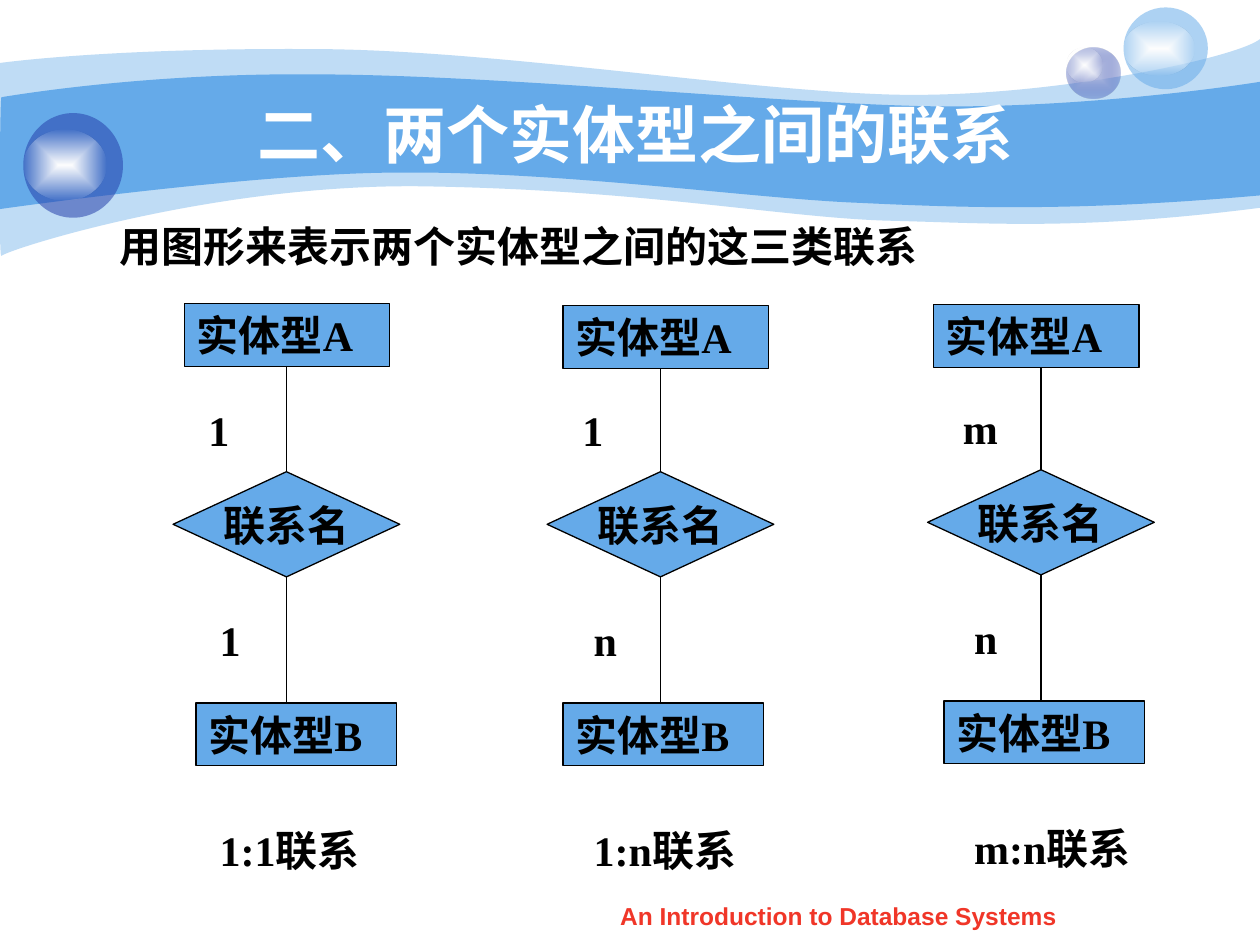
from lxml.etree import SubElement
from pptx import Presentation
from pptx.dml.color import RGBColor
from pptx.enum.shapes import MSO_CONNECTOR, MSO_SHAPE
from pptx.enum.text import MSO_ANCHOR, PP_ALIGN
from pptx.oxml import parse_xml
from pptx.oxml.ns import nsdecls, qn
from pptx.util import Cm, Pt

SKY = RGBColor(0x65, 0xAA, 0xE9)
NAVY = RGBColor(0x23, 0x3D, 0xA9)
LILAC = RGBColor(0xC6, 0xCC, 0xE8)
RED = RGBColor(0xF0, 0x36, 0x28)
WHITE = RGBColor(0xFF, 0xFF, 0xFF)
BLACK = RGBColor(0, 0, 0)

# Content
TITLE = "二、两个实体型之间的联系"
INTRO = "用图形来表示两个实体型之间的这三类联系"
FOOTER = "An Introduction to Database Systems"
ENTITY_A, ENTITY_B, RELATION = "实体型A", "实体型B", "联系名"
# Each diagram: upper label, lower label, caption, left of diamond, A and B, top of A, shift down
DIAGRAMS = [
    ("1", "1", "1:1联系", 3.49, 3.72, 3.95, 6.12, 0),
    ("1", "n", "1:n联系", 11.03, 11.35, 11.35, 6.16, 0),
    ("m", "n", "m:n联系", 18.7, 18.82, 19.03, 6.14, -0.04),
]

# Diagram measures in cm
DIAMOND_TOP, B_TOP = 9.51, 14.17
A_WIDTH, B_WIDTH, BOX_HEIGHT = 4.14, 4.04, 1.27
DIAMOND_WIDTH, DIAMOND_HEIGHT = 4.57, 2.12
LABEL_WIDTH, CAPTION_WIDTH = 1.14, 4.11
UPPER_INDENT, LOWER_INDENT = 0.46, 0.69
UPPER_TOP, LOWER_TOP, CAPTION_TOP = 8.03, 12.26, 16.49

# Waves in cm: opacity, start, then curves (three points) and straight edges (one point)
WAVES = [
    (41, (0, 1.27), [
        [(0.61, 1.19), (2.72, 0.97), (6.27, 0.99)],
        [(9.8, 0.99), (14.6, 1.78), (17.75, 1.9)],
        [(20.88, 2.03), (24.89, 1.19), (25.4, 0.79)],
        [(25.4, 4.19)],
        [(21.79, 4.65), (19.99, 4.5), (17.91, 4.45)],
        [(15.8, 4.39), (13.08, 3.84), (8.71, 3.76)],
        [(4.37, 3.66), (0.1, 5.05), (0.03, 5.16)],
        [(-0.03, 5.28), (0, 1.9), (0, 1.27)]]),
    (100, (0.03, 1.96), [
        [(0.05, 1.96), (2.79, 1.47), (6.3, 1.5)],
        [(9.8, 1.5), (15.11, 2.03), (18.24, 2.13)],
        [(21.36, 2.24), (24.79, 1.75), (25.4, 1.65)],
        [(25.4, 3.94)],
        [(21.67, 4.27), (19.43, 4.19), (17.32, 4.09)],
        [(15.21, 4.01), (11.35, 3.45), (8.05, 3.48)],
        [(5.16, 3.48), (-0.05, 4.22), (-0.03, 4.22)],
        [(0, 4.22), (0, 1.96), (0.03, 1.96)]]),
]
GLOW = [(WHITE, 100), (RGBColor(0xFE, 0xFE, 0xFE), 0)]
# Spheres in cm: ball area, ball colour stops, glow area
SPHERES = [
    ((21.51, 0.97, 1.07, 1.02), [(LILAC, 100), (NAVY, 31)], (21.51, 0.97, 0.71, 0.69)),
    ((22.65, 0.15, 1.7, 1.65), [(SKY, 53)], (22.65, 0.43, 1.42, 1.09)),
    ((0.47, 2.28, 2.01, 2.11), [(NAVY, 53)], (0.47, 2.62, 1.68, 1.42)),
]
BODY = {"name": "Times New Roman", "size": Pt(24), "bold": True}


def write(shape, text, color=BLACK, font=BODY, align=PP_ALIGN.LEFT,
          anchor=MSO_ANCHOR.TOP, wrap=True):
    frame = shape.text_frame
    frame.word_wrap, frame.vertical_anchor = wrap, anchor
    para = frame.paragraphs[0]
    para.alignment = align
    span = para.add_run()
    span.text = text
    for name, value in font.items():
        setattr(span.font, name, value)
    span.font.color.rgb = color


def paint(shape, stops):
    """Fill with one colour, or with a gradient from the centre; no outline."""
    shape.shadow.inherit = False
    shape.line.fill.background()
    shape.fill.solid()
    shape.fill.fore_color.rgb = stops[0][0]
    solid = shape._element.spPr.find(qn("a:solidFill"))
    if len(stops) == 1:
        if stops[0][1] < 100:
            SubElement(solid[0], qn("a:alpha"), val=str(stops[0][1] * 1000))
        return
    marks = "".join(
        f'<a:gs pos="{place}"><a:srgbClr val="{color}">'
        f'<a:alpha val="{opacity * 1000}"/></a:srgbClr></a:gs>'
        for place, (color, opacity) in zip((0, 100000), stops))
    gradient = parse_xml(
        f'<a:gradFill {nsdecls("a")} rotWithShape="1"><a:gsLst>{marks}</a:gsLst>'
        '<a:path path="rect"><a:fillToRect l="50000" t="50000" r="50000" b="50000"/>'
        '</a:path></a:gradFill>')
    solid.getparent().replace(solid, gradient)


def add_wave(page, opacity, start, edges):
    builder = page.shapes.build_freeform(Cm(start[0]), Cm(start[1]))
    builder.add_line_segments([(Cm(x), Cm(y)) for edge in edges for x, y in edge], close=True)
    wave = builder.convert_to_shape()
    # Join each three segments of a curved edge into one cubic curve
    segments = iter(list(wave._element.iter(qn("a:lnTo"))))
    for edge in edges:
        first, *others = [next(segments) for _ in edge]
        if others:
            first.tag = qn("a:cubicBezTo")
            for segment in others:
                first.append(segment[0])
                segment.getparent().remove(segment)
    paint(wave, [(SKY, opacity)])


def add_text(page, area, text, **options):
    write(page.shapes.add_textbox(*map(Cm, area)), text, **options)


def add_node(page, kind, area, text, **options):
    node = page.shapes.add_shape(kind, *map(Cm, area))
    paint(node, [(SKY, 100)])
    node.line.color.rgb = BLACK
    node.line.width = Pt(0.75)
    write(node, text, **options)


def add_link(page, x, top, bottom):
    link = page.shapes.add_connector(MSO_CONNECTOR.STRAIGHT, Cm(x), Cm(top), Cm(x), Cm(bottom))
    link.line.color.rgb = BLACK
    link.line.width = Pt(0.75)
    SubElement(link._element.spPr, qn("a:effectLst"))


def add_diagram(page, upper, lower, caption, left, a_left, b_left, a_top, shift):
    diamond_top, b_top = DIAMOND_TOP + shift, B_TOP + shift
    middle = left + DIAMOND_WIDTH / 2
    add_node(page, MSO_SHAPE.RECTANGLE, (a_left, a_top, A_WIDTH, BOX_HEIGHT), ENTITY_A)
    add_node(page, MSO_SHAPE.DIAMOND, (left, diamond_top, DIAMOND_WIDTH, DIAMOND_HEIGHT),
             RELATION, align=PP_ALIGN.CENTER, anchor=MSO_ANCHOR.MIDDLE, wrap=False)
    add_node(page, MSO_SHAPE.RECTANGLE, (b_left, b_top, B_WIDTH, BOX_HEIGHT), ENTITY_B)
    add_link(page, middle, a_top + BOX_HEIGHT, diamond_top)
    add_link(page, middle, diamond_top + DIAMOND_HEIGHT, b_top)
    for text, indent, top, width in (
            (upper, UPPER_INDENT, UPPER_TOP, LABEL_WIDTH),
            (lower, LOWER_INDENT, LOWER_TOP, LABEL_WIDTH),
            (caption, LOWER_INDENT, CAPTION_TOP, CAPTION_WIDTH)):
        add_text(page, (left + indent, top + shift, width, BOX_HEIGHT), text)


def main():
    deck = Presentation()
    deck.slide_width, deck.slide_height = Cm(25.4), Cm(19.05)
    page = deck.slides.add_slide(deck.slide_layouts[5])

    # Title
    title = page.shapes.title
    title.left, title.top, title.width, title.height = map(Cm, (2.55, 1.9, 20.52, 1.57))
    write(title, TITLE, WHITE, {"name": "Arial", "size": Pt(36), "bold": True},
          PP_ALIGN.CENTER, MSO_ANCHOR.MIDDLE)

    # Background waves and spheres
    for wave in WAVES:
        add_wave(page, *wave)
    for ball_area, ball_stops, glow_area in SPHERES:
        for area, stops in ((ball_area, ball_stops), (glow_area, GLOW)):
            paint(page.shapes.add_shape(MSO_SHAPE.OVAL, *map(Cm, area)), stops)
    page.shapes._spTree.append(title._element)  # title in front of the waves

    # Diagrams
    for diagram in DIAGRAMS:
        add_diagram(page, *diagram)

    # Introduction and footer
    add_text(page, (1.11, 4.33, 18.67, 1.27), INTRO, align=PP_ALIGN.CENTER, wrap=False)
    add_text(page, (8.7, 18.03, 16.41, 0.89), FOOTER, color=RED, align=PP_ALIGN.CENTER,
             font={"name": "Arial", "size": Pt(14), "bold": True})

    deck.save("out.pptx")


if __name__ == "__main__":
    main()
